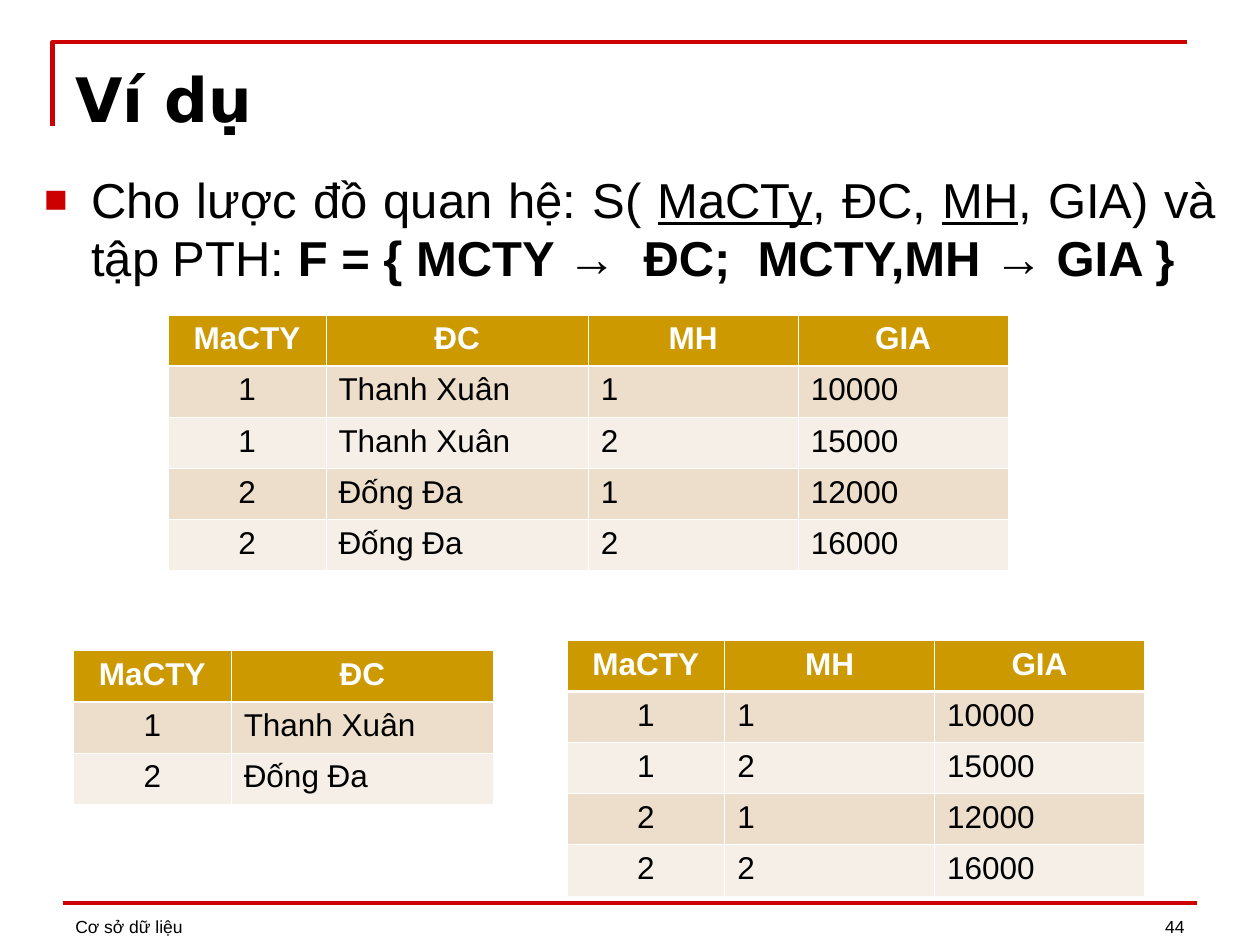
from dataclasses import dataclass

from lxml import etree
from pptx import Presentation
from pptx.dml.color import RGBColor
from pptx.enum.shapes import MSO_CONNECTOR
from pptx.enum.text import MSO_ANCHOR, PP_ALIGN
from pptx.oxml.ns import qn
from pptx.util import Cm, Pt

LEFT, CENTER, RIGHT, JUSTIFY = PP_ALIGN.LEFT, PP_ALIGN.CENTER, PP_ALIGN.RIGHT, PP_ALIGN.JUSTIFY
TOP, MIDDLE, BOTTOM = MSO_ANCHOR.TOP, MSO_ANCHOR.MIDDLE, MSO_ANCHOR.BOTTOM


@dataclass(frozen=True)
class Theme:
    accent: str = "CC0000"
    text: str = "000000"
    white: str = "FFFFFF"
    header: str = "CC9900"
    bands: tuple = ("ECDECB", "F6EFE7")
    body_font: str = "Arial"
    title_font: str = "DejaVu Sans"
    title_size: int = 35
    body_size: int = 28
    table_size: int = 18
    footer_size: int = 10


THEME = Theme()

# Content
TITLE = "Ví dụ"
STATEMENT = [
    ("Cho lược đồ quan hệ: S( ", ""),
    ("MaCTy", "underline"),
    (", ĐC, ", ""),
    ("MH", "underline"),
    (", GIA) và tập PTH: ", ""),
    ("F = { MCTY →  ĐC;  MCTY,MH → GIA }", "bold"),
]
FOOTER = "Cơ sở dữ liệu"
PAGE_NUMBER = "44"
COLUMN_WIDTHS = {"MaCTY": 3.18, "ĐC": 5.29, "MH": 4.23, "GIA": 4.23}
ROW_HEIGHT = 1.03
RELATION = [
    ("1", "Thanh Xuân", "1", "10000"),
    ("1", "Thanh Xuân", "2", "15000"),
    ("2", "Đống Đa", "1", "12000"),
    ("2", "Đống Đa", "2", "16000"),
]
# Each table: left, top (cm) and the columns kept from the relation
TABLES = [
    (3.39, 6.35, ["MaCTY", "ĐC", "MH", "GIA"]),
    (1.48, 13.12, ["MaCTY", "ĐC"]),
    (11.43, 12.91, ["MaCTY", "MH", "GIA"]),
]


def color(value):
    return RGBColor.from_string(value)


def write_text(text_frame, text, size, font=THEME.body_font, fill=THEME.text,
               bold=False, align=LEFT):
    """Write a string, or a list of (text, style) runs, as one paragraph."""
    paragraph = text_frame.paragraphs[0]
    paragraph.alignment = align
    for words, style in [(text, "")] if isinstance(text, str) else text:
        run = paragraph.add_run()
        run.text = words
        run.font.name = font
        run.font.size = Pt(size)
        run.font.color.rgb = color(fill)
        run.font.bold = bold or style == "bold"
        run.font.underline = style == "underline"
    return paragraph


def add_text(slide, box, text, size, anchor=TOP, **text_format):
    shape = slide.shapes.add_textbox(*map(Cm, box))
    shape.text_frame.word_wrap = True
    shape.text_frame.vertical_anchor = anchor
    write_text(shape.text_frame, text, size, **text_format)
    return shape.text_frame


def add_bullet(paragraph, indent):
    properties = paragraph._p.get_or_add_pPr()
    properties.set("marL", str(Cm(indent)))
    properties.set("indent", str(-Cm(indent)))
    bullet_color = etree.SubElement(properties, qn("a:buClr"))
    etree.SubElement(bullet_color, qn("a:srgbClr"), val=THEME.accent)
    etree.SubElement(properties, qn("a:buSzPct"), val="80000")
    etree.SubElement(properties, qn("a:buFont"), typeface=THEME.body_font)
    etree.SubElement(properties, qn("a:buChar"), char="■")


def set_borders(cell, **widths):
    properties = cell._tc.get_or_add_tcPr()
    for side in "LRTB":
        line = etree.SubElement(properties, qn(f"a:ln{side}"),
                                w=str(Pt(widths.get(side, 0.45))))
        fill = etree.SubElement(line, qn("a:solidFill"))
        etree.SubElement(fill, qn("a:srgbClr"), val=THEME.white)


def add_relation_table(slide, left, top, columns):
    names = list(COLUMN_WIDTHS)
    positions = [names.index(column) for column in columns]
    projected = (tuple(record[i] for i in positions) for record in RELATION)
    # A projection of the relation keeps each distinct record once
    rows = [columns, *dict.fromkeys(projected)]
    widths = [COLUMN_WIDTHS[column] for column in columns]
    table = slide.shapes.add_table(len(rows), len(columns), Cm(left), Cm(top),
                                   Cm(sum(widths)), Cm(ROW_HEIGHT * len(rows))).table
    for column, width in zip(table.columns, widths):
        column.width = Cm(width)
    for row_index, row in enumerate(rows):
        table.rows[row_index].height = Cm(ROW_HEIGHT)
        is_header = row_index == 0
        for column_index, value in enumerate(row):
            cell = table.cell(row_index, column_index)
            set_borders(cell, T=1.47 if row_index == 1 else 0.45,
                        B=1.47 if is_header else 0.45)
            cell.fill.solid()
            cell.fill.fore_color.rgb = color(
                THEME.header if is_header else THEME.bands[(row_index - 1) % 2])
            write_text(cell.text_frame, value, THEME.table_size, bold=is_header,
                       fill=THEME.white if is_header else THEME.text,
                       align=CENTER if is_header or column_index == 0 else LEFT)


def add_frame_lines(slide):
    # Corner bracket around the title
    builder = slide.shapes.build_freeform(Cm(1.06), Cm(2.54))
    builder.add_line_segments([(Cm(1.06), Cm(0.85)), (Cm(23.92), Cm(0.85))], close=False)
    bracket = builder.convert_to_shape()
    bracket.shadow.inherit = False
    bracket.fill.background()
    # Footer rule
    rule = slide.shapes.add_connector(MSO_CONNECTOR.STRAIGHT, Cm(1.27), Cm(18.2),
                                      Cm(24.13), Cm(18.2))
    etree.SubElement(rule._element.spPr, qn("a:effectLst"))
    for shape, width in ((bracket, 2.5), (rule, 2)):
        shape.line.color.rgb = color(THEME.accent)
        shape.line.width = Pt(width)


def main():
    presentation = Presentation()
    presentation.slide_width, presentation.slide_height = Cm(25.4), Cm(19.05)
    slide = presentation.slides.add_slide(presentation.slide_layouts[6])
    add_frame_lines(slide)

    # Footer
    add_text(slide, (1.27, 17.75, 15.45, 1.27), FOOTER, THEME.footer_size, anchor=BOTTOM)
    add_text(slide, (18.2, 17.75, 5.93, 1.27), PAGE_NUMBER, THEME.footer_size,
             anchor=BOTTOM, align=RIGHT)

    # Title and statement
    add_text(slide, (1.27, 0.98, 22.86, 1.98), TITLE, THEME.title_size, anchor=MIDDLE,
             font=THEME.title_font, bold=True)
    statement = add_text(slide, (0.64, 3.18, 24.13, 14.6), STATEMENT, THEME.body_size,
                         align=JUSTIFY)
    statement.margin_top = Cm(0.23)
    add_bullet(statement.paragraphs[0], 0.95)

    # The relation and its decomposition
    for left, top, columns in TABLES:
        add_relation_table(slide, left, top, columns)

    presentation.save("out.pptx")


if __name__ == "__main__":
    main()
